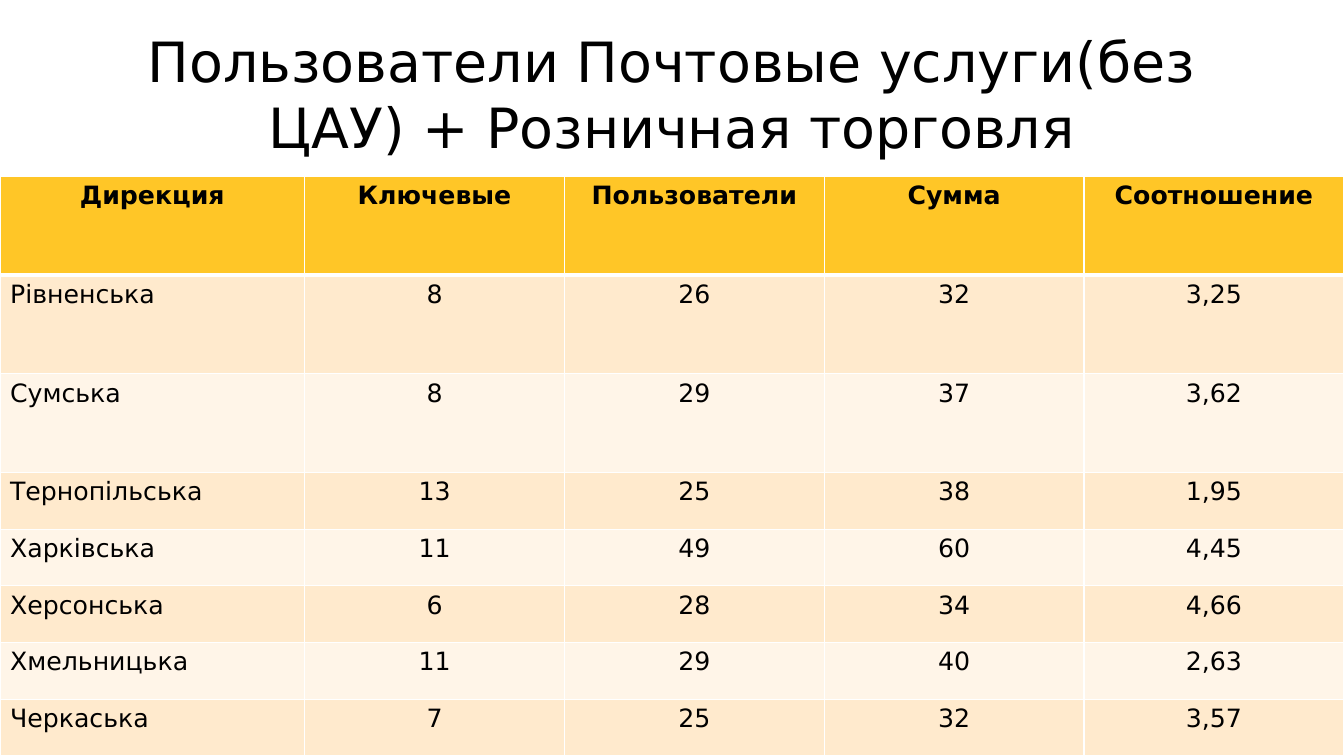
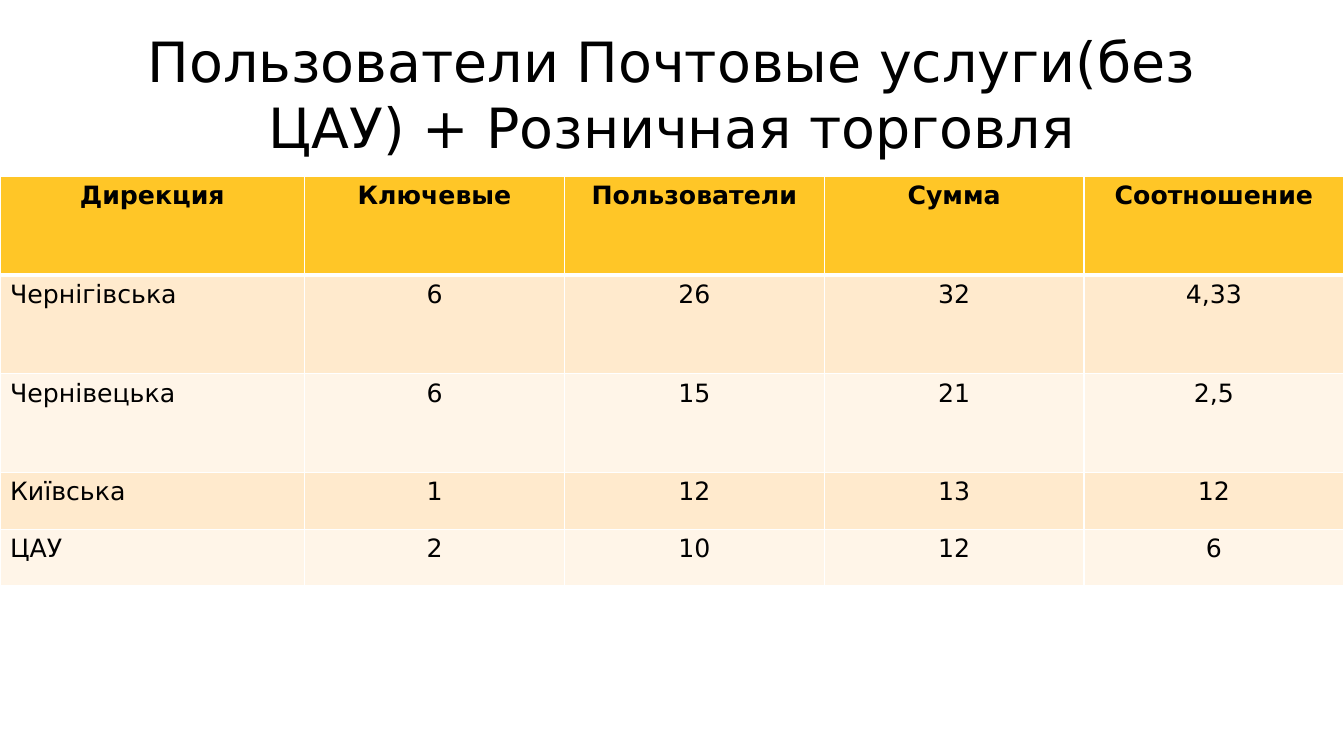
from dataclasses import dataclass

import lxml.etree
import pptx
import pptx.dml.color
import pptx.enum.text
import pptx.oxml.ns
import pptx.util

Pt = pptx.util.Pt
ALIGN = pptx.enum.text.PP_ALIGN


@dataclass(frozen=True)
class Theme:
    font: str = "DejaVu Sans"
    ink: str = "000000"
    head: str = "FFC627"
    bands: tuple = ("FFEACD", "FFF5E8")
    rule: str = "FFFFFF"
    title: float = 39.6
    text: float = 18
    thin: float = 1
    thick: float = 3


THEME = Theme()
PAGE = (960, 540)
TITLE_BOX = (48, 21.6, 864, 90)
GRID_TOP = 126
FIRST_COL = 217.6
TALL, SHORT = 70.5, 40.5
TALL_ROWS = 3

TITLE = "Пользователи Почтовые услуги(без ЦАУ) + Розничная торговля"
HEAD = ("Дирекция", "Ключевые", "Пользователи", "Сумма", "Соотношение")
PAGES = (
    (
        ("Рівненська", "8", "26", "32", "3,25"),
        ("Сумська", "8", "29", "37", "3,62"),
        ("Тернопільська", "13", "25", "38", "1,95"),
        ("Харківська", "11", "49", "60", "4,45"),
        ("Херсонська", "6", "28", "34", "4,66"),
        ("Хмельницька", "11", "29", "40", "2,63"),
        ("Черкаська", "7", "25", "32", "3,57"),
    ),
    (
        ("Чернігівська", "6", "26", "32", "4,33"),
        ("Чернівецька", "6", "15", "21", "2,5"),
        ("Київська", "1", "12", "13", "12"),
        ("ЦАУ", "2", "10", "12", "6"),
    ),
)


def paint(hue):
    return pptx.dml.color.RGBColor.from_string(hue)


def set_text(frame, text, size, align, bold=False):
    frame.text = text
    line = frame.paragraphs[0]
    line.alignment = align
    font = line.runs[0].font
    font.name, font.size, font.bold = THEME.font, Pt(size), bold
    font.color.rgb = paint(THEME.ink)


def add_rules(cell, top, bottom):
    """Draw the four cell borders; the schema wants them before the fill."""
    props = cell._tc.get_or_add_tcPr()
    qn = pptx.oxml.ns.qn
    sides = (("L", THEME.thin), ("R", THEME.thin), ("T", top), ("B", bottom))
    for spot, (side, width) in enumerate(sides):
        line = lxml.etree.Element(qn(f"a:ln{side}"), w=str(int(Pt(width))))
        fill = lxml.etree.SubElement(line, qn("a:solidFill"))
        lxml.etree.SubElement(fill, qn("a:srgbClr"), val=THEME.rule)
        props.insert(spot, line)


def add_title(slide, box):
    title = slide.shapes.title
    title.left, title.top, title.width, title.height = map(Pt, box)
    frame = title.text_frame
    frame.word_wrap = True
    frame.auto_size = pptx.enum.text.MSO_AUTO_SIZE.NONE
    frame.vertical_anchor = pptx.enum.text.MSO_ANCHOR.MIDDLE
    set_text(frame, TITLE, THEME.title, ALIGN.CENTER)


def fill_cell(cell, text, row, col):
    is_head = row == 0
    hue = THEME.head if is_head else THEME.bands[(row - 1) % 2]
    align = ALIGN.LEFT if col == 0 and not is_head else ALIGN.CENTER
    cell.fill.solid()
    cell.fill.fore_color.rgb = paint(hue)
    set_text(cell.text_frame, text, THEME.text, align, is_head)
    add_rules(
        cell,
        THEME.thick if row == 1 else THEME.thin,
        THEME.thick if is_head else THEME.thin,
    )


def add_grid(slide, rows, left, top, width):
    rows = (HEAD, *rows)
    highs = [TALL if i < TALL_ROWS else SHORT for i in range(len(rows))]
    rest = (width - FIRST_COL) / (len(HEAD) - 1)
    box = map(Pt, (left, top, width, sum(highs)))
    grid = slide.shapes.add_table(len(rows), len(HEAD), *box).table
    for col, part in enumerate(grid.columns):
        part.width = Pt(rest if col else FIRST_COL)
    for row, (texts, high) in enumerate(zip(rows, highs)):
        grid.rows[row].height = Pt(high)
        for col, text in enumerate(texts):
            fill_cell(grid.cell(row, col), text, row, col)


def main():
    deck = pptx.Presentation()
    deck.slide_width, deck.slide_height = map(Pt, PAGE)
    for rows in PAGES:
        slide = deck.slides.add_slide(deck.slide_layouts.get_by_name("Title Only"))
        add_title(slide, TITLE_BOX)
        add_grid(slide, rows, 0, GRID_TOP, PAGE[0])
    deck.save("out.pptx")


if __name__ == "__main__":
    main()
